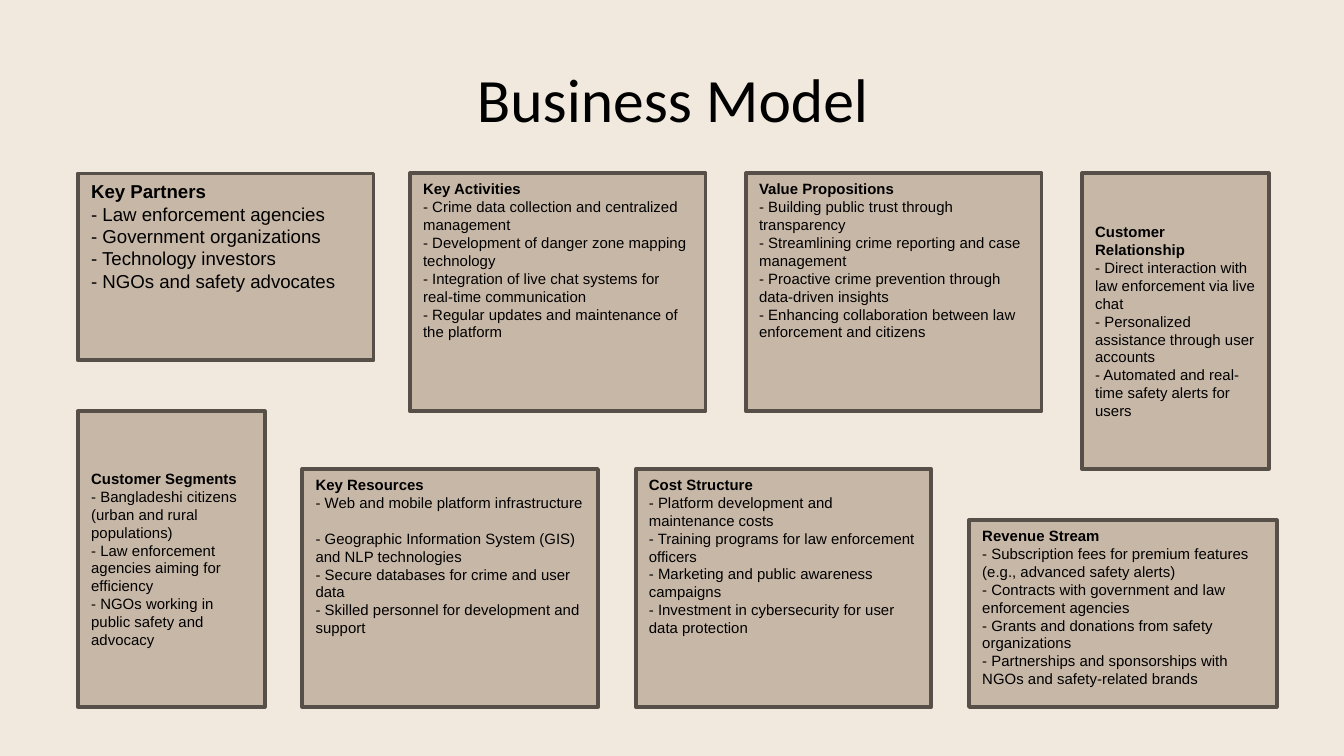
from pptx import Presentation
from pptx.dml.color import RGBColor
from pptx.enum.shapes import MSO_SHAPE as Preset
from pptx.enum.text import MSO_ANCHOR as Anchor, PP_ALIGN as Align
from pptx.util import Inches, Pt

COLORS = {"background": "F1E9DD", "card": "C7B7A7", "border": "575049", "text": "000000"}

# Card sizes and rows
WIDE, NARROW = 2.2, 1.39
SHORT, MEDIUM, TALL = 1.39, 1.77, 2.2
TOP, BOTTOM = 1.29, 5.26

# Heading, left, width, height, items
UPPER_CARDS = [
    ("Key Partners", 0.58, WIDE, SHORT, [
        "Law enforcement agencies",
        "Government organizations",
        "Technology investors",
        "NGOs and safety advocates"]),
    ("Key Activities", 3.05, WIDE, MEDIUM, [
        "Crime data collection and centralized management",
        "Development of danger zone mapping technology",
        "Integration of live chat systems for real-time communication",
        "Regular updates and maintenance of the platform"]),
    ("Value Propositions", 5.55, WIDE, MEDIUM, [
        "Building public trust through transparency",
        "Streamlining crime reporting and case management",
        "Proactive crime prevention through data-driven insights",
        "Enhancing collaboration between law enforcement and citizens"]),
    ("Customer Relationship", 8.05, NARROW, TALL, [
        "Direct interaction with law enforcement via live chat",
        "Personalized assistance through user accounts",
        "Automated and real-time safety alerts for users"]),
]
LOWER_CARDS = [
    ("Customer Segments", 0.58, NARROW, TALL, [
        "Bangladeshi citizens (urban and rural populations)",
        "Law enforcement agencies aiming for efficiency",
        "NGOs working in public safety and advocacy"]),
    ("Key Resources", 2.25, WIDE, MEDIUM, [
        "Web and mobile platform infrastructure",
        "Geographic Information System (GIS) and NLP technologies",
        "Secure databases for crime and user data",
        "Skilled personnel for development and support"]),
    ("Cost Structure", 4.73, WIDE, MEDIUM, [
        "Platform development and maintenance costs",
        "Training programs for law enforcement officers",
        "Marketing and public awareness campaigns",
        "Investment in cybersecurity for user data protection"]),
    ("Revenue Stream", 7.21, 2.29, SHORT, [
        "Subscription fees for premium features (e.g., advanced safety alerts)",
        "Contracts with government and law enforcement agencies",
        "Grants and donations from safety organizations",
        "Partnerships and sponsorships with NGOs and safety-related brands"]),
]


def color(name):
    return RGBColor.from_string(COLORS[name])


class CanvasSlide:
    """Holds the style and the current slide."""

    title_font, body_font = "Calibri", "Arial"

    def __init__(self, slide):
        self.slide = slide
        fill = slide.background.fill
        fill.solid()
        fill.fore_color.rgb = color("background")

    def format_text(self, paragraph, font_name, size, bold=False):
        for run in paragraph.runs:
            run.font.name = font_name
            run.font.size = Pt(size)
            run.font.bold = bold
            run.font.color.rgb = color("text")

    def title(self, text, left, top, width, height):
        shape = self.slide.shapes.title
        shape.left, shape.top = Inches(left), Inches(top)
        shape.width, shape.height = Inches(width), Inches(height)
        frame = shape.text_frame
        frame.text = text
        frame.vertical_anchor = Anchor.MIDDLE
        frame.margin_left = frame.margin_right = Inches(0.04)
        frame.margin_top = frame.margin_bottom = Inches(0.04)
        frame.paragraphs[0].alignment = Align.CENTER
        self.format_text(frame.paragraphs[0], self.title_font, 33)

    def card(self, heading, left, top, width, height, items, size=8):
        shape = self.slide.shapes.add_shape(
            Preset.RECTANGLE, Inches(left), Inches(top), Inches(width), Inches(height))
        shape.shadow.inherit = False
        shape.fill.solid()
        shape.fill.fore_color.rgb = color("card")
        shape.line.color.rgb = color("border")
        shape.line.width = Pt(2)

        frame = shape.text_frame
        frame.word_wrap = True
        frame.vertical_anchor = Anchor.MIDDLE if width == NARROW else Anchor.TOP
        frame.text = "\n".join([heading] + [f"- {item}" for item in items])
        for index, paragraph in enumerate(frame.paragraphs):
            paragraph.alignment = Align.LEFT
            self.format_text(paragraph, self.body_font, size, bold=index == 0)
        return shape


def main():
    presentation = Presentation()
    # Widescreen, 16:9
    presentation.slide_width = Inches(10)
    presentation.slide_height = Inches(10 * 9 / 16)
    title_only = presentation.slide_layouts[5]
    canvas = CanvasSlide(presentation.slides.add_slide(title_only))

    canvas.title("Business Model", 0.79, 0.42, 8.43, 0.62)

    # Upper row hangs from a shared top edge
    for heading, left, width, height, items in UPPER_CARDS:
        size = 10 if heading == "Key Partners" else 8
        canvas.card(heading, left, TOP, width, height, items, size)

    # Lower row stands on a shared bottom edge
    for heading, left, width, height, items in LOWER_CARDS:
        card = canvas.card(heading, left, BOTTOM - height, width, height, items)
        if heading == "Key Resources":
            card.text_frame.paragraphs[1].space_after = Pt(9.6)

    presentation.save("out.pptx")


if __name__ == "__main__":
    main()
